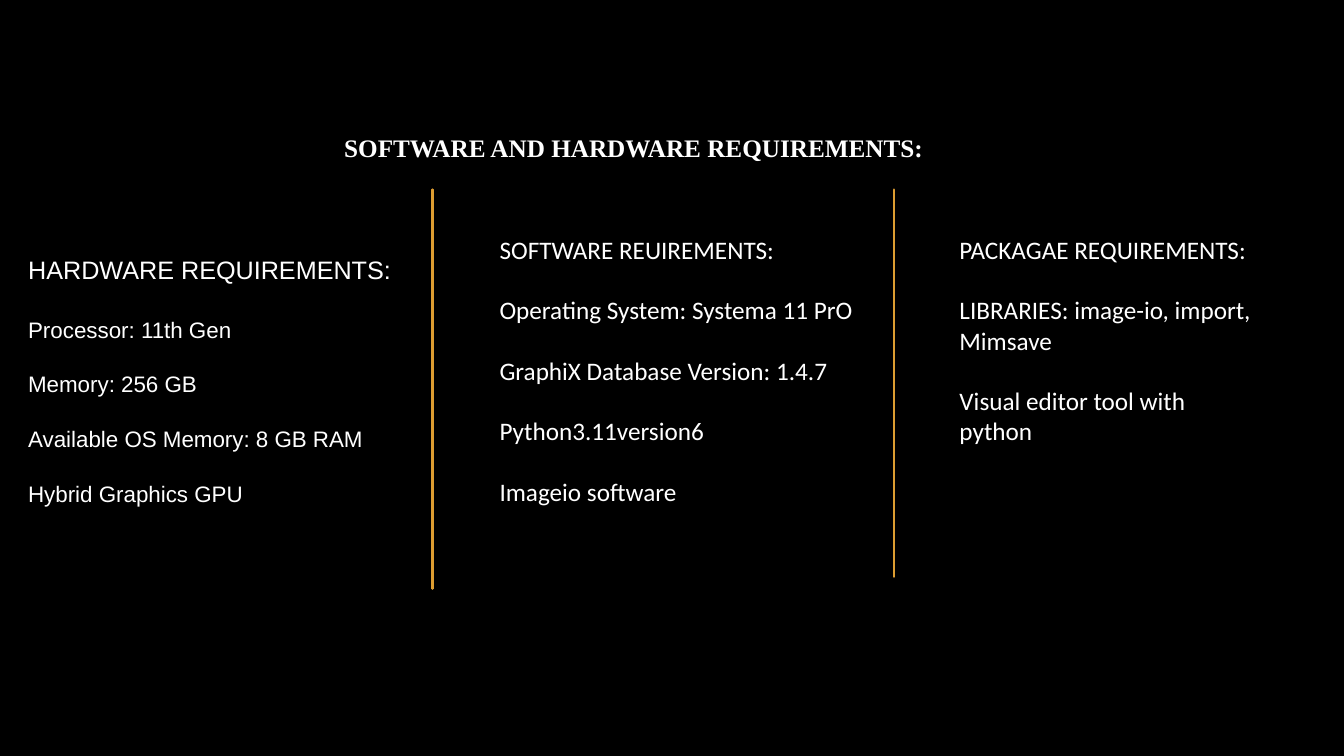
from dataclasses import dataclass

from lxml.etree import SubElement
from pptx import Presentation
from pptx.dml.color import RGBColor
from pptx.enum.shapes import MSO_CONNECTOR as Connector
from pptx.enum.text import MSO_ANCHOR as Anchor, MSO_AUTO_SIZE as AutoSize, PP_ALIGN as Align
from pptx.oxml.ns import qn
from pptx.slide import Slide
from pptx.text.text import TextFrame
from pptx.util import Cm, Pt

COLORS = {"background": "000000", "text": "FFFFFF", "divider": "DD9D31"}


@dataclass(frozen=True)
class Entry:
    """One paragraph, with its size and the space above it in points."""
    text: str
    size: float = 18
    gap: float = 21.6


@dataclass(frozen=True)
class Column:
    """A requirements column, placed in centimetres."""
    left: float
    top: float
    width: float
    height: float
    font: str
    entries: tuple[Entry, ...]
    inset: float = 0.13


@dataclass(frozen=True)
class Divider:
    """A vertical rule, placed in centimetres."""
    x: float
    bottom: float
    top: float = 4.78


COLUMNS = (
    Column(0.46, 6.2, 10.82, 9.4, "Arial", (
        Entry("HARDWARE REQUIREMENTS:", gap=0),
        Entry("Processor: 11th Gen", 16, 22.5),
        Entry("Memory: 256 GB", 16, 20),
        Entry("Available OS Memory: 8 GB RAM", 16, 20),
        Entry("Hybrid Graphics GPU", 16, 20),
    ), inset=0.2),
    Column(12.34, 5.77, 10.82, 7.95, "Calibri", (
        Entry("SOFTWARE REUIREMENTS:", gap=0),
        Entry("Operating System: Systema 11 PrO"),
        Entry("GraphiX Database Version: 1.4.7"),
        Entry("Python3.11version6"),
        Entry("Imageio software"),
    )),
    Column(23.93, 5.77, 8.1, 5.64, "Calibri", (
        Entry("PACKAGAE REQUIREMENTS:", gap=0),
        Entry("LIBRARIES: image-io, import,"),
        Entry("Mimsave", gap=0),
        Entry("Visual editor tool with python"),
    )),
)
DIVIDERS = (Divider(10.9, 14.83), Divider(22.53, 14.53))


def write_text(frame: TextFrame, text: str, *, font: str, size: float = 18, gap: float = 0,
               bold: bool = False, align: Align = Align.LEFT) -> None:
    """Write a formatted paragraph at the end of a text frame."""
    paragraph = frame.add_paragraph() if frame.text else frame.paragraphs[0]
    paragraph.alignment = align
    paragraph.space_before = Pt(gap)
    run = paragraph.add_run()
    run.text = text
    run.font.name = font
    run.font.size = Pt(size)
    run.font.bold = bold
    run.font.color.rgb = RGBColor.from_string(COLORS["text"])


def add_heading(slide: Slide) -> None:
    """Place and format the slide title."""
    heading = slide.shapes.title
    heading.left, heading.top, heading.width, heading.height = map(Cm, (1.9, 1.7, 28.14, 4.04))
    frame = heading.text_frame
    frame.auto_size = AutoSize.NONE
    frame.vertical_anchor = Anchor.MIDDLE
    write_text(frame, "SOFTWARE AND HARDWARE REQUIREMENTS:",
               font="Times New Roman", bold=True, align=Align.CENTER)


def add_column(slide: Slide, column: Column) -> None:
    """Draw one requirements column."""
    place = map(Cm, (column.left, column.top, column.width, column.height))
    frame = slide.shapes.add_textbox(*place).text_frame
    frame.word_wrap = True
    frame.margin_top = Cm(column.inset)
    for entry in column.entries:
        write_text(frame, entry.text, font=column.font, size=entry.size, gap=entry.gap)


def add_divider(slide: Slide, divider: Divider) -> None:
    """Draw one vertical rule between columns."""
    x = Cm(divider.x)
    rule = slide.shapes.add_connector(Connector.STRAIGHT, x, Cm(divider.top), x, Cm(divider.bottom))
    rule.line.color.rgb = RGBColor.from_string(COLORS["divider"])
    rule.line.width = Pt(2)
    rule.line._get_or_add_ln().set("cap", "rnd")
    SubElement(rule._element.spPr, qn("a:effectLst"))


def main() -> None:
    """Build and save the requirements slide."""
    deck = Presentation()
    deck.slide_width, deck.slide_height = Cm(33.87), Cm(19.05)
    slide = deck.slides.add_slide(deck.slide_layouts[5])
    backdrop = slide.background.fill
    backdrop.solid()
    backdrop.fore_color.rgb = RGBColor.from_string(COLORS["background"])
    add_heading(slide)
    for column in COLUMNS:
        add_column(slide, column)
    for divider in DIVIDERS:
        add_divider(slide, divider)
    deck.save("out.pptx")


if __name__ == "__main__":
    main()
